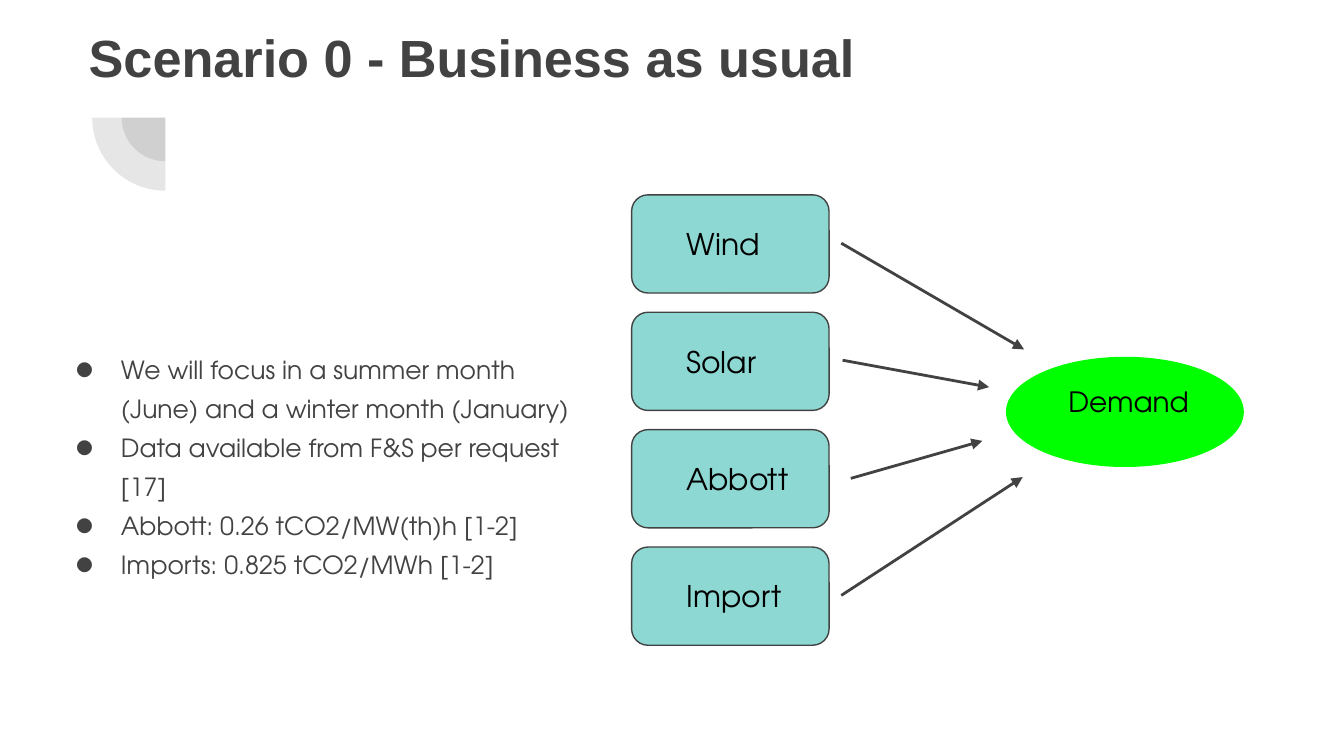
from lxml import etree
from pptx import Presentation
from pptx.dml.color import RGBColor
from pptx.enum import shapes, text
from pptx.oxml.ns import qn
from pptx.util import Pt

# Content
TITLE = "Scenario 0 - Business as usual"
POINTS = [
    "We will focus in a summer month (June) and a winter month (January)",
    "Data available from F&S per request [17]",
    "Abbott: 0.26 tCO2/MW(th)h [1-2]",
    "Imports: 0.825 tCO2/MWh [1-2]",
]
# Each source with the start and end of its arrow towards the demand
SOURCES = [
    ("Wind", (450.7, 130.3), (548.6, 187.2)),
    ("Solar", (451.4, 193), (529.9, 207.4)),
    ("Abbott", (455.8, 256.3), (526.3, 236.2)),
    ("Import", (450.7, 319), (547.9, 255.6)),
]
DEMAND = "Demand"

# Format
COLORS = {"ink": "424242", "black": "000000", "source": "8DD8D3", "demand": "00FF00"}
BODY_FONT = "TeX Gyre Adventor"
FORMATS = {
    "title": {"name": "Arial", "size": Pt(28), "bold": True},
    "body": {"name": BODY_FONT, "size": Pt(13.4)},
    "source": {"name": BODY_FONT, "size": Pt(16)},
    "demand": {"name": BODY_FONT, "size": Pt(15)},
}
FRAME = {
    "word_wrap": True, "auto_size": text.MSO_AUTO_SIZE.NONE,
    "vertical_anchor": text.MSO_ANCHOR.TOP,
    "margin_left": Pt(7.2), "margin_right": Pt(7.2),
    "margin_top": Pt(7.2), "margin_bottom": Pt(7.2),
}
PARAGRAPH = {"alignment": text.PP_ALIGN.LEFT, "space_before": Pt(0), "space_after": Pt(0)}

# Layout in points
TITLE_BOX = (40.3, 6.5, 553.7, 78.5)
BODY_BOX = (21.6, 177.8, 303.8, 125.3)
SOURCE_BOX = (338.4, 104.4, 105.8, 52.6)
SOURCE_LABEL = (360.7, 113.8, 74.9, 33.8)
SOURCE_STEP = 62.9
DEMAND_BOX = (539.3, 191.5, 126.7, 58.3)
DEMAND_LABEL = (565.2, 198.7, 82.8, 32.4)
ARC_CENTER = (88.6, 63)
ARC_RADII = (23.4, 39.2)


def points(values):
    return [Pt(value) for value in values]


def color(name):
    return RGBColor.from_string(COLORS[name])


def assign(target, values):
    for name, value in values.items():
        setattr(target, name, value)


def place(shape, box):
    assign(shape, dict(zip(("left", "top", "width", "height"), points(box))))


def write(shape, lines, style, ink):
    frame = shape.text_frame
    frame.text = "\n".join(lines)
    assign(frame, FRAME)
    for paragraph in frame.paragraphs:
        assign(paragraph, PARAGRAPH)
        font = paragraph.runs[0].font
        assign(font, FORMATS[style])
        font.color.rgb = color(ink)


def add_bullet(paragraph):
    paragraph.line_spacing = 1.3
    properties = paragraph._p.get_or_add_pPr()
    properties.set("marL", str(Pt(36)))
    properties.set("indent", str(-Pt(24.5)))
    bullet_color = etree.SubElement(properties, qn("a:buClr"))
    etree.SubElement(bullet_color, qn("a:srgbClr"), val=COLORS["ink"])
    etree.SubElement(properties, qn("a:buFont"), typeface=BODY_FONT)
    etree.SubElement(properties, qn("a:buChar"), char="●")


def add_shape(slide, kind, box, fill, line=None):
    shape = slide.shapes.add_shape(kind, *points(box))
    shape.shadow.inherit = False
    shape.fill.solid()
    shape.fill.fore_color.rgb = color(fill)
    if line:
        shape.line.color.rgb = color(line)
        shape.line.width = Pt(0.75)
    else:
        shape.line.fill.background()
    return shape


def add_label(slide, words, box, style):
    write(slide.shapes.add_textbox(*points(box)), [words], style, "black")


def add_arrow(slide, start, end):
    arrow = slide.shapes.add_connector(
        shapes.MSO_CONNECTOR.STRAIGHT, *points(start + end))
    arrow.line.color.rgb = color("ink")
    arrow.line.width = Pt(1.5)
    etree.SubElement(arrow.line._get_or_add_ln(), qn("a:tailEnd"), type="triangle")
    etree.SubElement(arrow._element.spPr, qn("a:effectLst"))


def main():
    presentation = Presentation()
    presentation.slide_width, presentation.slide_height = Pt(720), Pt(405)
    slide = presentation.slides.add_slide(presentation.slide_layouts[1])
    title, body = slide.placeholders

    # Quarter-circle ornament: lower left quadrants around one centre
    for radius in ARC_RADII:
        box = [centre - radius for centre in ARC_CENTER] + [2 * radius] * 2
        arc = add_shape(slide, shapes.MSO_SHAPE.PIE, box, "ink")
        arc.adjustments[0], arc.adjustments[1] = 54, 108
        shade = arc._element.spPr.find(qn("a:solidFill"))[0]
        etree.SubElement(shade, qn("a:alpha"), val="13000")

    # Title and bullet list
    place(title, TITLE_BOX)
    write(title, [TITLE], "title", "ink")
    place(body, BODY_BOX)
    write(body, POINTS, "body", "ink")
    for paragraph in body.text_frame.paragraphs:
        add_bullet(paragraph)

    # Energy sources, one below the other
    for row, (name, start, end) in enumerate(SOURCES):
        box, label = [
            (left, top + row * SOURCE_STEP, width, height)
            for left, top, width, height in (SOURCE_BOX, SOURCE_LABEL)]
        add_shape(slide, shapes.MSO_SHAPE.ROUNDED_RECTANGLE, box, "source", "ink")
        add_label(slide, name, label, "source")
        add_arrow(slide, start, end)

    # Demand
    add_shape(slide, shapes.MSO_SHAPE.OVAL, DEMAND_BOX, "demand", "demand")
    add_label(slide, DEMAND, DEMAND_LABEL, "demand")

    presentation.save("out.pptx")


if __name__ == "__main__":
    main()
